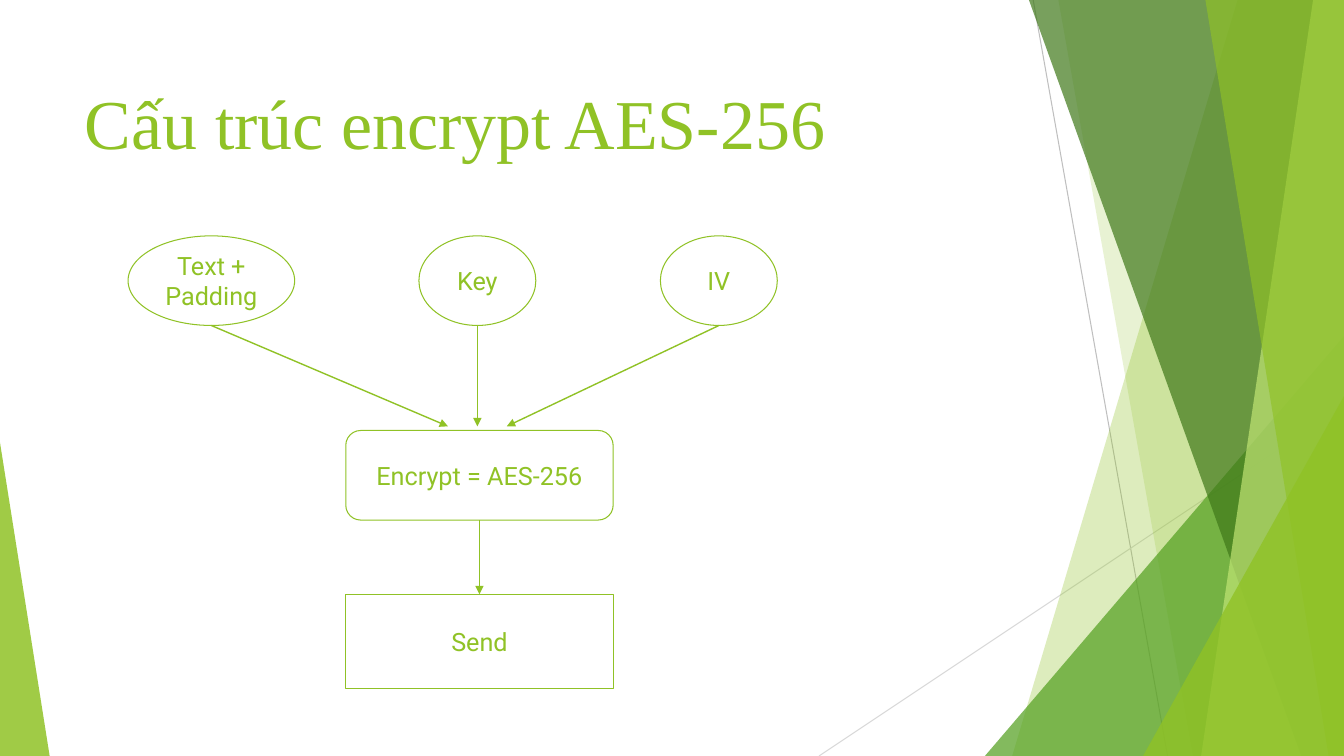
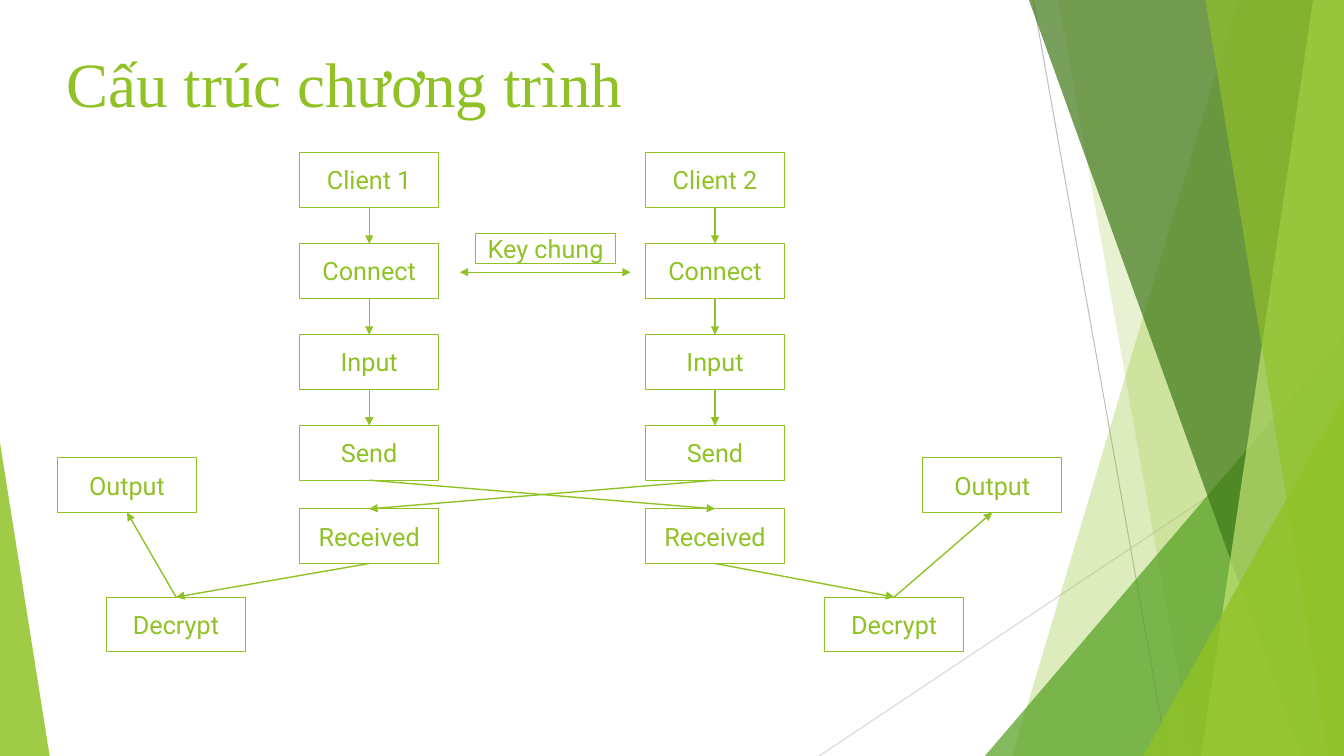
"""Build two slides on the structure of an AES-256 messaging program."""
from itertools import pairwise

from lxml.etree import SubElement
from pptx import Presentation
from pptx.dml.color import RGBColor
from pptx.enum.shapes import MSO_CONNECTOR, MSO_SHAPE as SHAPE
from pptx.enum.text import MSO_ANCHOR, MSO_AUTO_SIZE, PP_ALIGN
from pptx.oxml.ns import qn
from pptx.util import Pt

GREEN = RGBColor(0x90, 0xC2, 0x26)
MID_GREEN = RGBColor(0x54, 0xA0, 0x21)
DARK_GREEN = RGBColor(0x3F, 0x78, 0x19)
PALE_GREEN = RGBColor(0xC0, 0xE4, 0x74)
GREY = RGBColor(0xBF, 0xBF, 0xBF)
LIGHT_GREY = RGBColor(0xD9, 0xD9, 0xD9)

TITLE_FONT, BODY_FONT = "Times New Roman", "Roboto"
WIDTH, HEIGHT = 960, 540
TOP_SITE, BOTTOM_SITE = 0, 2
BOX_WIDTH, BOX_HEIGHT = 99.5, 39
FIRST_ROW, ROW_STEP = 109, 65


def tint(shape, color, opacity):
    """Fill a shape with a see-through colour and no outline."""
    shape.shadow.inherit = False
    shape.line.fill.background()
    shape.fill.solid()
    shape.fill.fore_color.rgb = color
    fill_color = shape.element.xpath(".//p:spPr//a:srgbClr")[0]
    SubElement(fill_color, qn("a:alpha"), val=str(opacity * 1000))


def add_band(shapes, top_x, bottom_x, color, opacity):
    """Draw a band from a slanted left edge to the right slide edge."""
    outline = shapes.build_freeform(Pt(top_x), 0, scale=1.0)
    outline.add_line_segments([(Pt(WIDTH), 0), (Pt(WIDTH), Pt(HEIGHT)),
                               (Pt(bottom_x), Pt(HEIGHT))])
    tint(outline.convert_to_shape(), color, opacity)


def add_wedge(shapes, left, top, width, apex, color, opacity):
    """Draw a triangle that stands on the bottom slide edge."""
    wedge = shapes.add_shape(SHAPE.ISOSCELES_TRIANGLE, Pt(left), Pt(top),
                             Pt(width), Pt(HEIGHT - top))
    wedge.adjustments[0] = apex
    tint(wedge, color, opacity)


def add_line(shapes, start, end, color=GREEN, width=1.0):
    """Draw a straight line without a shadow."""
    line = shapes.add_connector(MSO_CONNECTOR.STRAIGHT,
                                *(Pt(value) for value in (*start, *end)))
    line.line.color.rgb = color
    line.line.width = Pt(width)
    SubElement(line.element.spPr, qn("a:effectLst"))
    return line


def add_arrow(shapes, start, end, both_ends=False):
    """Draw a line with one or two triangular heads."""
    arrow = add_line(shapes, start, end)
    for tag in ("a:headEnd", "a:tailEnd") if both_ends else ("a:tailEnd",):
        SubElement(arrow.line._get_or_add_ln(), qn(tag), type="triangle")
    return arrow


def link(shapes, source, target):
    """Glue an arrow from the bottom of one box to the top of another."""
    arrow = add_arrow(shapes, (0, 0), (0, 0))
    arrow.begin_connect(source, BOTTOM_SITE)
    arrow.end_connect(target, TOP_SITE)
    return arrow


def add_node(shapes, text, left, top, width=BOX_WIDTH, height=BOX_HEIGHT,
             kind=SHAPE.RECTANGLE):
    """Draw an outlined node with a centred label."""
    node = shapes.add_shape(kind, Pt(left), Pt(top), Pt(width), Pt(height))
    node.shadow.inherit = False
    node.fill.background()
    node.line.color.rgb = GREEN
    node.line.width = Pt(0.75)
    frame = node.text_frame
    frame.word_wrap = True
    frame.vertical_anchor = MSO_ANCHOR.MIDDLE
    label = frame.paragraphs[0]
    label.text = text
    label.alignment = PP_ALIGN.CENTER
    set_font(label.font, BODY_FONT, 18)
    return node


def set_font(font, name, size):
    """Set a green font of the given name and size."""
    font.name, font.size = name, Pt(size)
    font.color.rgb = GREEN


def set_title(slide, text, left, top, size):
    """Place and format the title placeholder."""
    title = slide.shapes.title
    title.left, title.top = Pt(left), Pt(top)
    title.width, title.height = Pt(677), Pt(104)
    frame = title.text_frame
    frame.text = text
    frame.word_wrap = True
    frame.auto_size = MSO_AUTO_SIZE.NONE
    frame.vertical_anchor = MSO_ANCHOR.TOP
    frame.margin_top = Pt(9)
    heading = frame.paragraphs[0]
    heading.alignment = PP_ALIGN.LEFT
    set_font(heading.font, TITLE_FONT, size)


def decorate_layout(layout, slide):
    """Build the green facets and move them to the shared layout."""
    facets = slide.shapes.add_group_shape()
    shapes = facets.shapes
    add_line(shapes, (738, 0), (834, HEIGHT), GREY, 0.75)
    add_line(shapes, (WIDTH, 290), (585, HEIGHT), LIGHT_GREY, 0.75)
    add_band(shapes, 884, 723, GREEN, 30)
    add_band(shapes, 756, 852, GREEN, 20)
    add_wedge(shapes, 703.5, 240, 256.5, 1, MID_GREEN, 72)
    add_band(shapes, 735, 929.5, DARK_GREEN, 70)
    add_band(shapes, 938, 858, PALE_GREEN, 70)
    add_band(shapes, 861, 949, GREEN, 65)
    add_wedge(shapes, 816.5, 283, 143.5, 1, GREEN, 80)
    add_wedge(shapes, 0, 316, 35.5, 0, GREEN, 85)
    for number, properties in enumerate(
            facets.element.xpath(".//p:cNvPr"), start=20):
        properties.set("id", str(number))
    layout.shapes.element.insert(2, facets.element)


def build_encryption(slide):
    """Show the inputs, the encryption step and the sending step."""
    set_title(slide, "Cấu trúc encrypt AES-256", 53.5, 48, 50)
    shapes = slide.shapes
    input_top, input_height = 168.5, 64
    encrypt = add_node(shapes, "Encrypt = AES-256", 247, 307.5, 191, 64,
                       SHAPE.ROUNDED_RECTANGLE)
    send = add_node(shapes, "Send", 247, 424.5, 191, 67)
    link(shapes, encrypt, send)
    for text, center, width, arrow_x in (("Text + Padding", 151, 119, 320),
                                         ("Key", 341, 83.5, 341),
                                         ("IV", 513.5, 83.5, 362)):
        add_node(shapes, text, center - width / 2, input_top, width,
                 input_height, SHAPE.OVAL)
        add_arrow(shapes, (center, input_top + input_height),
                  (arrow_x, 304.5))


def add_client(shapes, name, left, decrypt_left, output_left):
    """Draw the steps of one client and return its send and receive boxes."""
    steps = [add_node(shapes, text, left, FIRST_ROW + row * ROW_STEP)
             for row, text in enumerate((name, "Connect", "Input", "Send"))]
    received = add_node(shapes, "Received", left, 363.5)
    decrypt = add_node(shapes, "Decrypt", decrypt_left, 426.5)
    output = add_node(shapes, "Output", output_left, 327)
    for source, target in (*pairwise(steps), (received, decrypt)):
        link(shapes, source, target)
    result = add_arrow(shapes, (0, 0), (0, 0))
    result.begin_connect(decrypt, TOP_SITE)
    result.end_connect(output, BOTTOM_SITE)
    return steps[-1], received


def build_program(slide):
    """Show two clients that share a key and exchange messages."""
    set_title(slide, "Cấu trúc chương trình", 40.5, 22.5, 45)
    shapes = slide.shapes
    send_1, received_1 = add_client(shapes, "Client 1", 214, 76, 41)
    send_2, received_2 = add_client(shapes, "Client 2", 461, 589, 659)
    link(shapes, send_2, received_1)
    link(shapes, send_1, received_2)
    add_node(shapes, "Key chung", 340, 167, height=21)
    add_arrow(shapes, (328.5, 194.5), (450.5, 194.5), both_ends=True)


def main():
    """Build and save the presentation."""
    prs = Presentation()
    prs.slide_width, prs.slide_height = Pt(WIDTH), Pt(HEIGHT)
    layout = prs.slide_layouts[5]
    encryption, program = (prs.slides.add_slide(layout) for _ in range(2))
    decorate_layout(layout, encryption)
    build_encryption(encryption)
    build_program(program)
    prs.save("out.pptx")


main()
